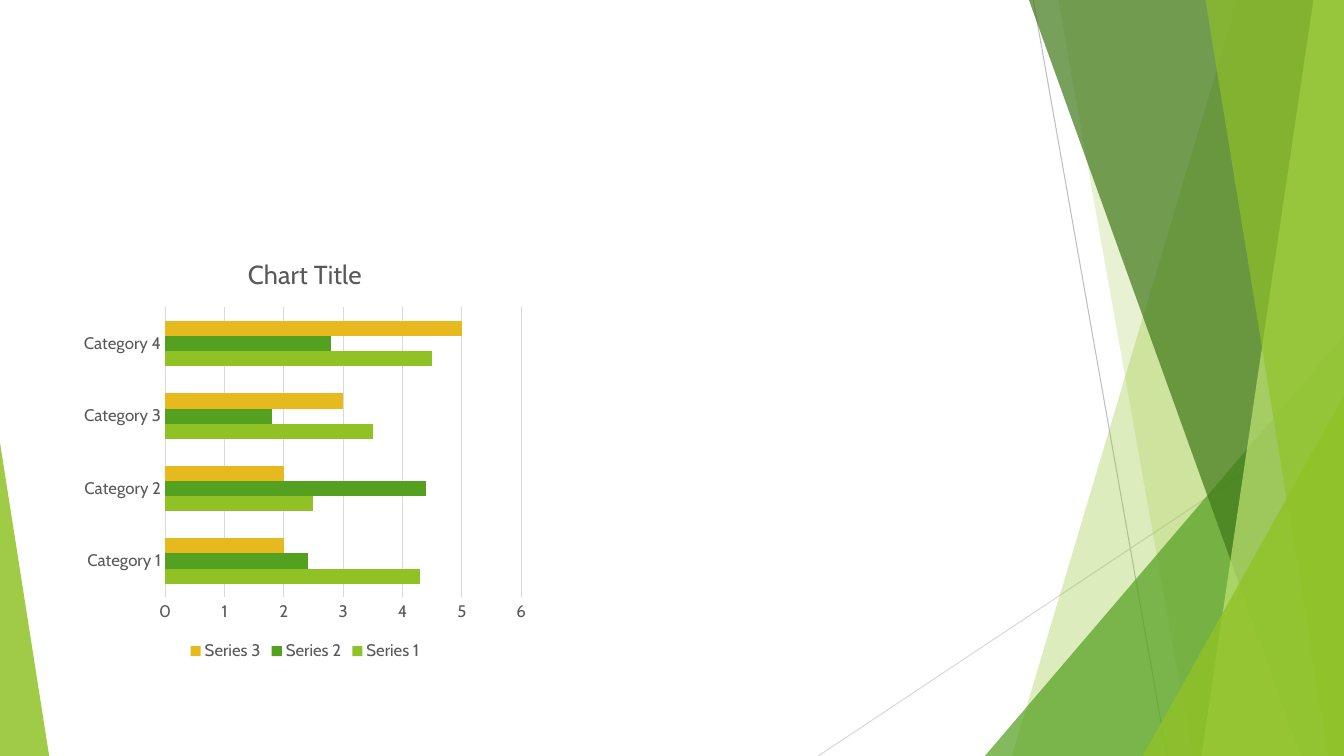
from lxml import etree
from pptx import Presentation
from pptx.chart.data import CategoryChartData
from pptx.dml.color import RGBColor
from pptx.enum.chart import XL_CHART_TYPE, XL_LEGEND_POSITION, XL_TICK_MARK
from pptx.enum.shapes import MSO_CONNECTOR, MSO_SHAPE
from pptx.oxml.ns import qn
from pptx.util import Cm, Pt

BAR_CLUSTERED = XL_CHART_TYPE.BAR_CLUSTERED
LEGEND_BOTTOM = XL_LEGEND_POSITION.BOTTOM
NO_TICK = XL_TICK_MARK.NONE
STRAIGHT = MSO_CONNECTOR.STRAIGHT
TRIANGLE = MSO_SHAPE.ISOSCELES_TRIANGLE

WIDTH, HEIGHT = 33.87, 19.05
FONT = "Cabin"
BLANK_LAYOUT = 6
COLORS = {
    "lime": "90C226", "green": "54A021", "forest": "3F7819", "pale": "C0E474",
    "gold": "E6B91E", "text": "595959", "grid": "D9D9D9", "ray": "BFBFBF",
}

CHART_TITLE = "Chart Title"
CATEGORIES = ["Category 1", "Category 2", "Category 3", "Category 4"]
SERIES = [
    ("Series 1", (4.3, 2.5, 3.5, 4.5), "lime"),
    ("Series 2", (2.4, 4.4, 1.8, 2.8), "green"),
    ("Series 3", (2, 2, 3, 5), "gold"),
]
CHART_BOX = (1.88, 5.99, 11.61, 10.77)

# Lengths in cm. Rays: start x, y, end x, y, colour
RAYS = [
    (26.04, 0, 29.41, HEIGHT, "ray"),
    (WIDTH, 10.24, 20.62, HEIGHT, "grid"),
]
# Facets, back to front. Bands reach the right edge: top x, bottom x.
# Triangles stand on the bottom edge: left, top, width, apex position.
FACETS = [
    ("band", (31.19, 25.5), "lime", 30),
    ("band", (26.67, 30.05), "lime", 20),
    ("triangle", (24.82, 8.46, 9.05, 1), "green", 72),
    ("band", (25.93, 32.79), "forest", 70),
    ("band", (33.1, 30.28), "pale", 70),
    ("band", (30.38, 33.48), "lime", 65),
    ("triangle", (28.8, 9.98, 5.07, 1), "lime", 80),
    ("triangle", (0, 11.15, 1.24, 0), "lime", 85),
]


def rgb(name):
    return RGBColor.from_string(COLORS[name])


def style_line(line, color):
    line.color.rgb = rgb(color)
    line.width = Pt(0.75)


def style_font(font, size):
    font.name = FONT
    font.size = Pt(size)
    font.bold = False
    font.color.rgb = rgb("text")


def add_ray(slide, x1, y1, x2, y2, color):
    ray = slide.shapes.add_connector(STRAIGHT, Cm(x1), Cm(y1), Cm(x2), Cm(y2))
    style_line(ray.line, color)
    etree.SubElement(ray._element.spPr, qn("a:effectLst"))


def add_band(slide, top_x, bottom_x):
    corners = [(top_x, 0), (WIDTH, 0), (WIDTH, HEIGHT), (bottom_x, HEIGHT)]
    points = [(Cm(x), Cm(y)) for x, y in corners]
    outline = slide.shapes.build_freeform(*points[0])
    outline.add_line_segments(points[1:], close=True)
    return outline.convert_to_shape()


def add_triangle(slide, left, top, width, apex):
    triangle = slide.shapes.add_shape(
        TRIANGLE, Cm(left), Cm(top), Cm(width), Cm(HEIGHT - top))
    triangle.adjustments[0] = apex
    return triangle


def add_facet(slide, kind, geometry, color, opacity):
    draw = add_band if kind == "band" else add_triangle
    facet = draw(slide, *geometry)
    facet.shadow.inherit = False
    facet.line.fill.background()
    facet.fill.solid()
    facet.fill.fore_color.rgb = rgb(color)
    tint = facet._element.spPr.find(qn("a:solidFill"))[0]
    etree.SubElement(tint, qn("a:alpha"), val=str(opacity * 1000))


def add_bar_chart(slide):
    data = CategoryChartData()
    data.categories = CATEGORIES
    for name, values, _ in SERIES:
        data.add_series(name, values)
    box = [Cm(length) for length in CHART_BOX]
    chart = slide.shapes.add_chart(BAR_CLUSTERED, *box, data).chart
    style_font(chart.font, 12)

    chart.has_title = True
    title = chart.chart_title.text_frame
    title.text = CHART_TITLE
    style_font(title.paragraphs[0].font, 18.6)

    chart.has_legend = True
    chart.legend.position = LEGEND_BOTTOM
    chart.legend.include_in_layout = False
    style_font(chart.legend.font, 12)

    for axis in (chart.category_axis, chart.value_axis):
        axis.major_tick_mark = axis.minor_tick_mark = NO_TICK
        style_font(axis.tick_labels.font, 12)
    style_line(chart.category_axis.format.line, "grid")
    chart.value_axis.format.line.fill.background()
    chart.value_axis.has_major_gridlines = True
    style_line(chart.value_axis.major_gridlines.format.line, "grid")

    plot = chart.plots[0]
    plot.gap_width = 182
    plot.vary_by_categories = False
    for bars, (_, _, color) in zip(plot.series, SERIES):
        bars.format.fill.solid()
        bars.format.fill.fore_color.rgb = rgb(color)


def main():
    deck = Presentation()
    deck.slide_width, deck.slide_height = Cm(WIDTH), Cm(HEIGHT)
    slide = deck.slides.add_slide(deck.slide_layouts[BLANK_LAYOUT])
    for ray in RAYS:
        add_ray(slide, *ray)
    for facet in FACETS:
        add_facet(slide, *facet)
    add_bar_chart(slide)
    deck.save("out.pptx")


if __name__ == "__main__":
    main()
